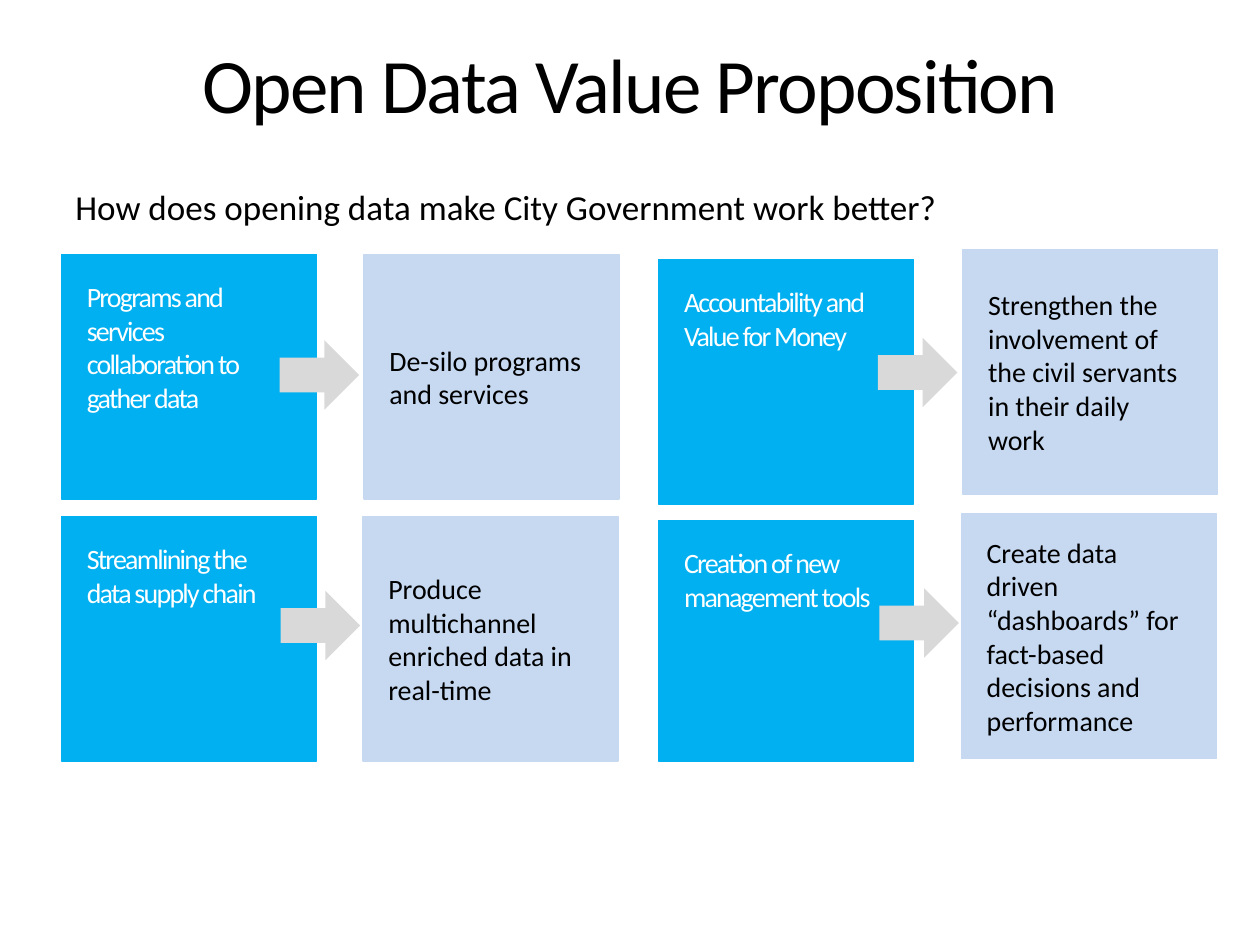
from pptx import Presentation
from pptx.dml.color import RGBColor
from pptx.enum.shapes import MSO_SHAPE
from pptx.enum.text import MSO_ANCHOR, PP_ALIGN
from pptx.util import Cm, Pt

BLACK = RGBColor(0x00, 0x00, 0x00)
WHITE = RGBColor(0xFF, 0xFF, 0xFF)
BLUE = RGBColor(0x00, 0xB0, 0xF0)
PALE = RGBColor(0xC6, 0xD9, 0xF1)
GREY = RGBColor(0xD9, 0xD9, 0xD9)

CARD_W, CARD_H = 5.14, 4.93
ARROW_W, ARROW_H = 1.6, 1.4

# cause, result, box (left, top, cause height), arrow offset, result offset
PAIRS = [
    ("Programs and services collaboration to gather data",
     "De-silo programs and services",
     (1.24, 5.13, CARD_H), (4.4, 1.73), (6.1, 0)),
    ("Streamlining the data supply chain",
     "Produce multichannel enriched data in real-time",
     (1.24, 10.41, CARD_H), (4.42, 1.5), (6.08, 0)),
    ("Accountability and Value for Money",
     "Strengthen the involvement of the civil servants in their daily work",
     (13.28, 5.23, CARD_H), (4.42, 1.58), (6.13, -0.2)),
    ("Creation of new management tools",
     "Create data driven “dashboards” for fact-based decisions and performance",
     (13.28, 10.49, 4.85), (4.45, 1.37), (6.1, -0.13)),
]


def write(sp, text, size=16, color=BLACK, align=PP_ALIGN.LEFT,
          anchor=MSO_ANCHOR.TOP, inset=None, tight=False):
    """Fill a shape with one paragraph; tight draws letters 1 pt closer."""
    tf = sp.text_frame
    tf.word_wrap = True
    tf.vertical_anchor = anchor
    if inset is not None:
        tf.margin_left = tf.margin_right = Cm(inset)
        tf.margin_top = tf.margin_bottom = Cm(inset)
    p = tf.paragraphs[0]
    p.alignment = align
    r = p.add_run()
    r.text = text
    r.font.name = "Calibri"
    r.font.size = Pt(size)
    r.font.color.rgb = color
    if tight:
        r.font._element.set("spc", "-100")


def add_filled(s, kind, left, top, width, height, color):
    sp = s.shapes.add_shape(kind, Cm(left), Cm(top), Cm(width), Cm(height))
    sp.shadow.inherit = False
    sp.fill.solid()
    sp.fill.fore_color.rgb = color
    sp.line.fill.background()
    return sp


def add_card(s, left, top, height, fill, text, **fmt):
    sp = add_filled(s, MSO_SHAPE.RECTANGLE, left, top, CARD_W, height, fill)
    sp.line.color.rgb = fill
    sp.line.width = Pt(0.75)
    write(sp, text, inset=0.51, **fmt)


def add_pair(s, cause, result, box, arrow_offset, result_offset):
    """Place a cause card, its result card and the arrow between them."""
    left, top, height = box
    add_card(s, left, top, height, BLUE, cause, color=WHITE, tight=True)
    dx, dy = result_offset
    add_card(s, left + dx, top + dy, CARD_H, PALE, result,
             anchor=MSO_ANCHOR.MIDDLE)
    dx, dy = arrow_offset
    add_filled(s, MSO_SHAPE.RIGHT_ARROW, left + dx, top + dy,
               ARROW_W, ARROW_H, GREY)


def add_heading(s, left, top, width):
    title = s.shapes.add_textbox(Cm(left), Cm(top), Cm(width), Cm(0.81))
    write(title, "Open Data Value Proposition", size=44, tight=True,
          align=PP_ALIGN.CENTER, anchor=MSO_ANCHOR.MIDDLE)
    question = s.shapes.add_textbox(Cm(left), Cm(top + 2.34), Cm(width), Cm(1.2))
    write(question, "How does opening data make City Government work better?",
          size=20)


def main():
    prs = Presentation()
    prs.slide_width, prs.slide_height = Cm(25.4), Cm(19.05)
    s = prs.slides.add_slide(prs.slide_layouts[6])
    add_heading(s, 1.27, 1.27, 22.86)
    for pair in PAIRS:
        add_pair(s, *pair)
    prs.save("out.pptx")


if __name__ == "__main__":
    main()
